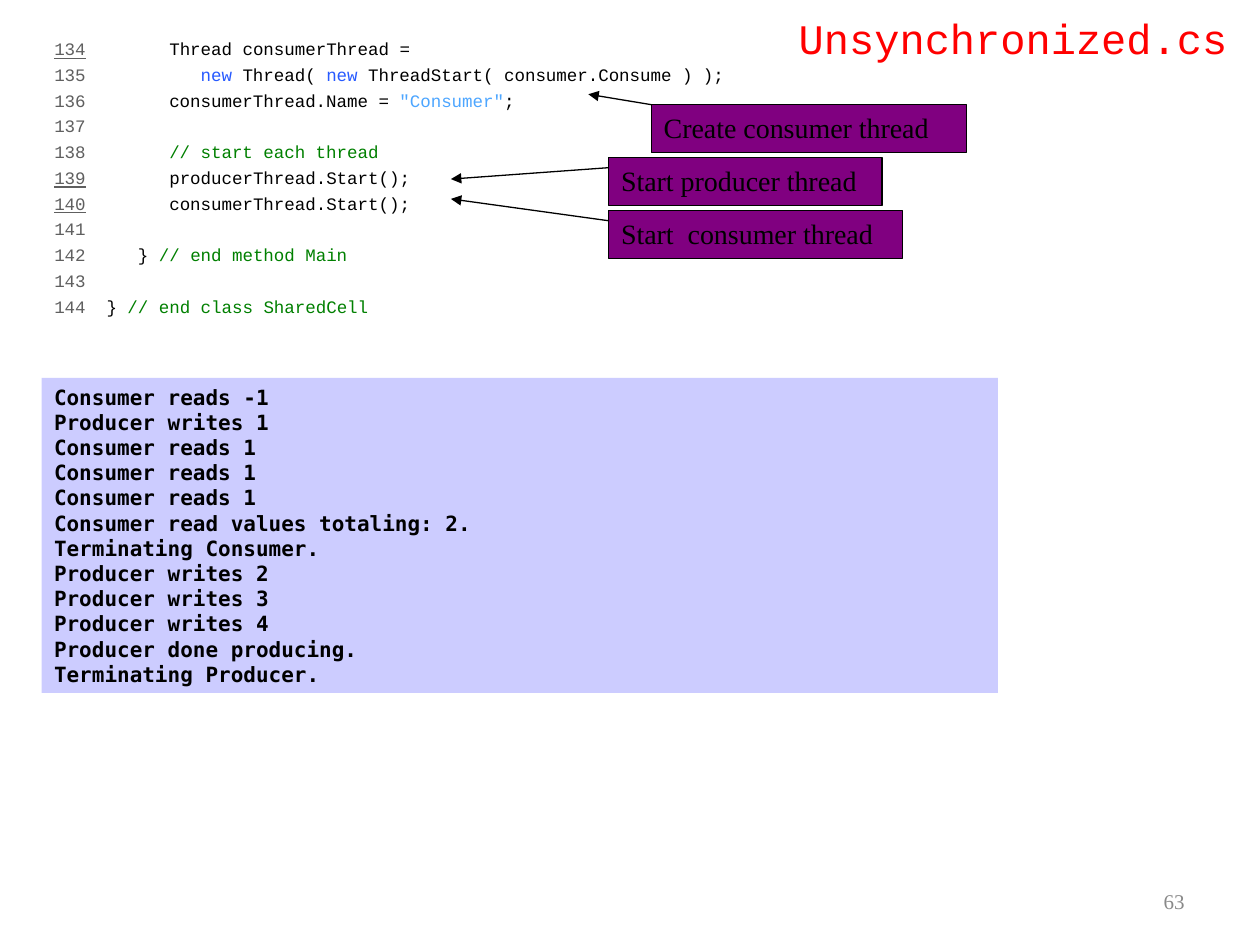
from dataclasses import dataclass

from lxml import etree
from pptx import Presentation
from pptx.dml.color import RGBColor
from pptx.enum.shapes import MSO_CONNECTOR, MSO_SHAPE
from pptx.enum.text import MSO_ANCHOR, MSO_AUTO_SIZE, PP_ALIGN
from pptx.oxml.ns import qn
from pptx.util import Cm, Pt

RECTANGLE = MSO_SHAPE.RECTANGLE
STRAIGHT = MSO_CONNECTOR.STRAIGHT
TOP, MIDDLE = MSO_ANCHOR.TOP, MSO_ANCHOR.MIDDLE
LEFT, CENTER, RIGHT = PP_ALIGN.LEFT, PP_ALIGN.CENTER, PP_ALIGN.RIGHT
NO_AUTOFIT = MSO_AUTO_SIZE.NONE


@dataclass(frozen=True)
class Theme:
    """Colours, fonts, type sizes and line width of the slide."""

    colours = {
        name: RGBColor.from_string(value)
        for name, value in {
            "ink": "000000", "line number": "5F5F5F", "keyword": "275AFF",
            "string": "4DA6FF", "comment": "008000", "heading": "FF0000",
            "page": "898989", "output": "CCCCFF", "callout": "800080",
        }.items()
    }
    formats = {
        "heading": {"name": "Courier New", "size": Pt(24), "bold": False},
        "code": {"name": "Courier New", "size": Pt(10), "bold": False},
        "output": {"name": "DejaVu Sans Mono", "size": Pt(12), "bold": True},
        "callout": {"name": "Times New Roman", "size": Pt(16)},
        "page": {"name": "Times New Roman", "size": Pt(12)},
    }
    code_gap = Pt(2.7)
    line_width = Pt(0.75)


FIRST_LINE = 134
STEP_LINES = {134, 139, 140}
INDENT = " " * 3
CODE = [
    (2, [("Thread consumerThread =", "ink")]),
    (3, [("new", "keyword"), (" Thread( ", "ink"), ("new", "keyword"),
         (" ThreadStart( consumer.Consume ) );", "ink")]),
    (2, [("consumerThread.Name = ", "ink"), ('"Consumer"', "string"), (";", "ink")]),
    (0, []),
    (2, [("// start each thread", "comment")]),
    (2, [("producerThread.Start();", "ink")]),
    (2, [("consumerThread.Start();", "ink")]),
    (0, []),
    (1, [("} ", "ink"), ("// end method Main", "comment")]),
    (0, []),
    (0, [("} ", "ink"), ("// end class SharedCell", "comment")]),
]
OUTPUT = [
    "Consumer reads -1",
    "Producer writes 1",
    "Consumer reads 1",
    "Consumer reads 1",
    "Consumer reads 1",
    "Consumer read values totaling: 2.",
    "Terminating Consumer.",
    "Producer writes 2",
    "Producer writes 3",
    "Producer writes 4",
    "Producer done producing.",
    "Terminating Producer.",
]
CALLOUTS = [
    ("Create consumer thread", (13.13, 2.11, 6.35, 0.97), (13.13, 2.11), (11.86, 1.9)),
    ("Start producer thread", (12.27, 3.18, 5.51, 0.97), (12.27, 3.38), (9.09, 3.61)),
    ("Start  consumer thread", (12.27, 4.24, 5.92, 0.97), (12.27, 4.45), (9.09, 4.01)),
]


class CodeSlide:
    """Draws the parts of a code walkthrough slide in one style."""

    def __init__(self, slide, theme):
        self.slide = slide
        self.theme = theme

    def place(self, part, box):
        """Move a placeholder to a box given in centimetres."""
        for side, length in zip(("left", "top", "width", "height"), box):
            setattr(part, side, Cm(length))

    def frame(self, part, anchor):
        """Prepare the text frame of a part."""
        layout = {"word_wrap": True, "auto_size": NO_AUTOFIT, "vertical_anchor": anchor}
        for key, value in layout.items():
            setattr(part.text_frame, key, value)
        return part.text_frame

    def run(self, paragraph, text, style, colour, **extra):
        """Append a formatted run to a paragraph."""
        font_run = paragraph.add_run()
        font_run.text = text
        for key, value in {**self.theme.formats[style], **extra}.items():
            setattr(font_run.font, key, value)
        font_run.font.color.rgb = self.theme.colours[colour]

    def paragraphs(self, frame, count, align):
        """Yield the given number of aligned paragraphs."""
        for index in range(count):
            paragraph = frame.add_paragraph() if index else frame.paragraphs[0]
            paragraph.alignment = align
            yield paragraph

    def lines(self, part, texts, style, colour, align=LEFT, anchor=TOP):
        """Write one paragraph for each text."""
        frame = self.frame(part, anchor)
        for paragraph, text in zip(self.paragraphs(frame, len(texts), align), texts):
            self.run(paragraph, text, style, colour)

    def heading(self, text, box):
        """Fill the title placeholder."""
        title = self.slide.shapes.title
        self.place(title, box)
        self.lines(title, [text], "heading", "heading", CENTER, MIDDLE)

    def code(self, listing, box):
        """Fill the body placeholder with numbered, coloured code."""
        body = self.slide.placeholders[1]
        self.place(body, box)
        rows = self.paragraphs(self.frame(body, TOP), len(listing), LEFT)
        for number, (row, (level, tokens)) in enumerate(zip(rows, listing), FIRST_LINE):
            row.space_before = self.theme.code_gap
            self.run(row, str(number), "code", "line number",
                     underline=number in STEP_LINES)
            if tokens:
                self.run(row, "  " + INDENT * level, "code", "line number")
            for text, colour in tokens:
                self.run(row, text, "code", colour)

    def panel(self, shapes, box, fill):
        """Add a filled rectangle without outline."""
        panel = shapes.add_shape(RECTANGLE, *map(Cm, box))
        panel.shadow.inherit = False
        panel.fill.solid()
        panel.fill.fore_color.rgb = self.theme.colours[fill]
        panel.line.fill.background()
        return panel

    def outline(self, part):
        """Give a part the thin dark line."""
        part.line.color.rgb = self.theme.colours["ink"]
        part.line.width = self.theme.line_width

    def output(self, texts, box):
        """Add the console output panel."""
        console = self.panel(self.slide.shapes, box, "output")
        self.lines(console, texts, "output", "ink")

    def arrow(self, shapes, start, end):
        """Add a straight arrow pointing at its end."""
        arrow = shapes.add_connector(STRAIGHT, *map(Cm, start + end))
        self.outline(arrow)
        etree.SubElement(arrow.line._get_or_add_ln(), qn("a:tailEnd"), type="triangle")
        etree.SubElement(arrow._element.spPr, qn("a:effectLst"))

    def callout(self, text, box, start, end):
        """Add a grouped label and its arrow."""
        shapes = self.slide.shapes.add_group_shape().shapes
        label = self.panel(shapes, box, "callout")
        self.outline(label)
        self.lines(label, [text], "callout", "ink")
        self.arrow(shapes, start, end)

    def page_number(self, text, box):
        """Add the page number."""
        page = self.slide.shapes.add_textbox(*map(Cm, box))
        self.lines(page, [text], "page", "page", RIGHT, MIDDLE)


def main():
    """Build and save the slide."""
    deck = Presentation()
    deck.slide_width, deck.slide_height = Cm(25.4), Cm(19.05)
    page = CodeSlide(deck.slides.add_slide(deck.slide_layouts[0]), Theme())
    page.code(CODE, (0.84, 0.64, 20.52, 6.78))
    page.page_number("63", (18.21, 17.65, 5.92, 1.02))
    page.output(OUTPUT, (0.84, 7.62, 19.28, 6.35))
    for callout in CALLOUTS:
        page.callout(*callout)
    page.heading("Unsynchronized.cs", (15.44, 0, 9.96, 1.52))
    deck.save("out.pptx")


if __name__ == "__main__":
    main()
